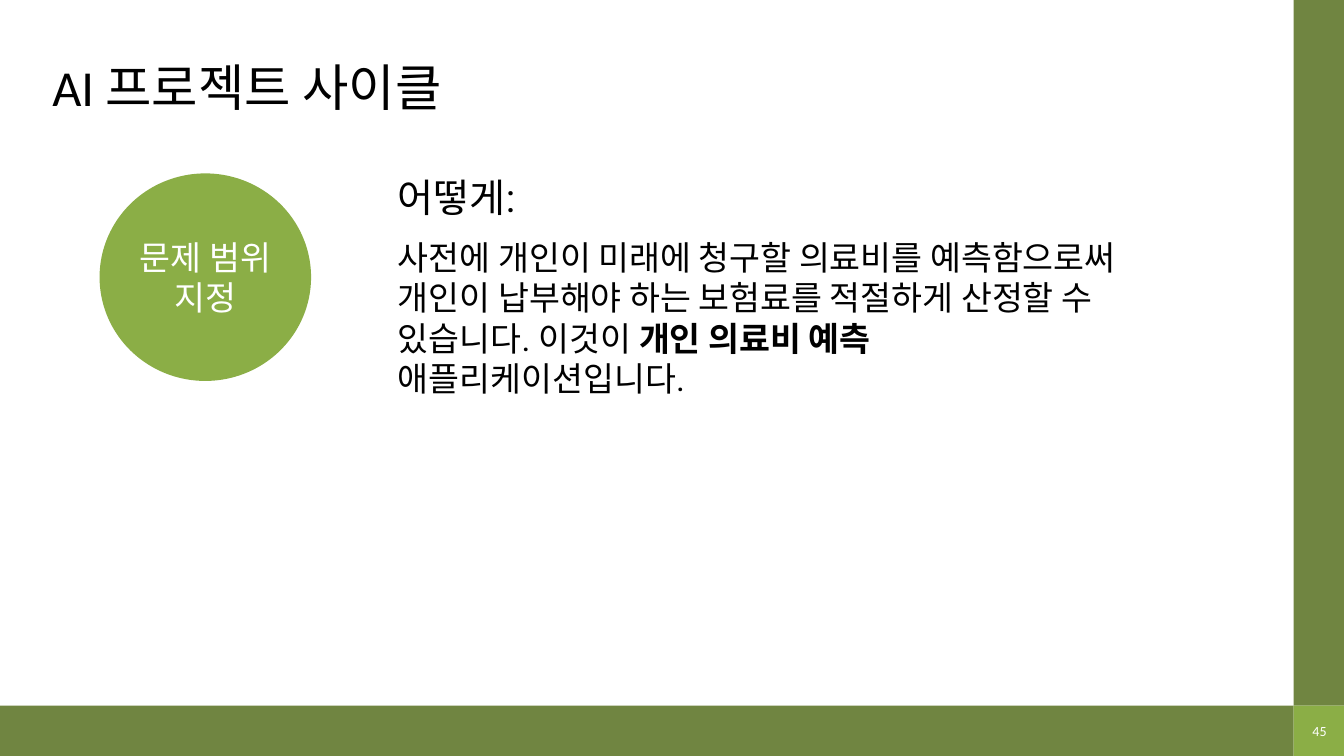
from dataclasses import dataclass

from pptx import Presentation
from pptx.dml.color import RGBColor
from pptx.enum.shapes import MSO_SHAPE
from pptx.enum.text import MSO_ANCHOR, PP_ALIGN
from pptx.util import Cm, Pt

RECT = MSO_SHAPE.RECTANGLE
OVAL = MSO_SHAPE.OVAL
TOP = MSO_ANCHOR.TOP
MIDDLE = MSO_ANCHOR.MIDDLE
LEFT = PP_ALIGN.LEFT
CENTER = PP_ALIGN.CENTER


@dataclass(frozen=True)
class Theme:
    olive: str = "708541"
    green: str = "8BAE46"
    black: str = "000000"
    white: str = "FFFFFF"
    head: str = "Calibri"
    body: str = "Roboto"
    title: int = 36
    lead: int = 28
    text: int = 24
    page: int = 10


class Deck:
    def __init__(self, theme, wide, high):
        self.theme = theme
        self.file = Presentation()
        self.file.slide_width = Cm(wide)
        self.file.slide_height = Cm(high)
        self.slide = self.file.slides.add_slide(self.file.slide_layouts[6])

    def shape(self, kind, area, color):
        item = self.slide.shapes.add_shape(kind, *map(Cm, area))
        item.shadow.inherit = False
        item.fill.solid()
        item.fill.fore_color.rgb = RGBColor.from_string(color)
        item.line.fill.background()

    def text(self, area, parts, size, color, font, align=LEFT,
             anchor=TOP, pad=(0.25, 0.13), wrap=True, space=1.0):
        frame = self.slide.shapes.add_textbox(*map(Cm, area)).text_frame
        frame.word_wrap = wrap
        frame.vertical_anchor = anchor
        frame.margin_left = frame.margin_right = Cm(pad[0])
        frame.margin_top = frame.margin_bottom = Cm(pad[1])
        line = frame.paragraphs[0]
        line.alignment = align
        line.line_spacing = space
        for words, bold in parts:
            run = line.add_run()
            run.text = words
            run.font.name = font
            run.font.size = Pt(size)
            run.font.bold = bold
            run.font.color.rgb = RGBColor.from_string(color)


def main():
    theme = Theme()
    wide, high, band = 33.87, 19.05, 1.27
    right, base = wide - band, high - band
    deck = Deck(theme, wide, high)

    deck.text((1.07, 0.61, 15.09, 3.33), [("AI 프로젝트 사이클", False)],
              theme.title, theme.black, theme.head, anchor=MIDDLE, space=0.9)

    deck.shape(RECT, (0, base, right, band), theme.olive)
    deck.shape(RECT, (right, 0, band, base), theme.olive)
    deck.shape(RECT, (right, base, band, band), theme.green)
    deck.text((33.05, 18.21, 0.41, 0.43), [("45", False)], theme.page,
              theme.white, theme.head, CENTER, pad=(0, 0), wrap=False)

    deck.shape(OVAL, (2.51, 4.37, 5.33, 5.23), theme.green)
    deck.text((3.12, 5.99, 4.11, 1.98), [("문제 범위 지정", False)], theme.text,
              theme.white, theme.body, CENTER, MIDDLE, (0.33, 0.33))

    deck.text((9.78, 4.37, 20.12, 1.47), [("어떻게:", False)],
              theme.lead, theme.black, theme.body, space=0.9)
    answer = [
        ("사전에 개인이 미래에 청구할 의료비를 예측함으로써 개인이 납부해야 하는 "
         "보험료를 적절하게 산정할 수 있습니다. 이것이 ", False),
        ("개인 의료비 예측 ", True),
        ("애플리케이션입니다.", False),
    ]
    deck.text((9.78, 5.84, 19.61, 1.47), answer,
              theme.text, theme.black, theme.body)

    deck.file.save("out.pptx")


if __name__ == "__main__":
    main()
